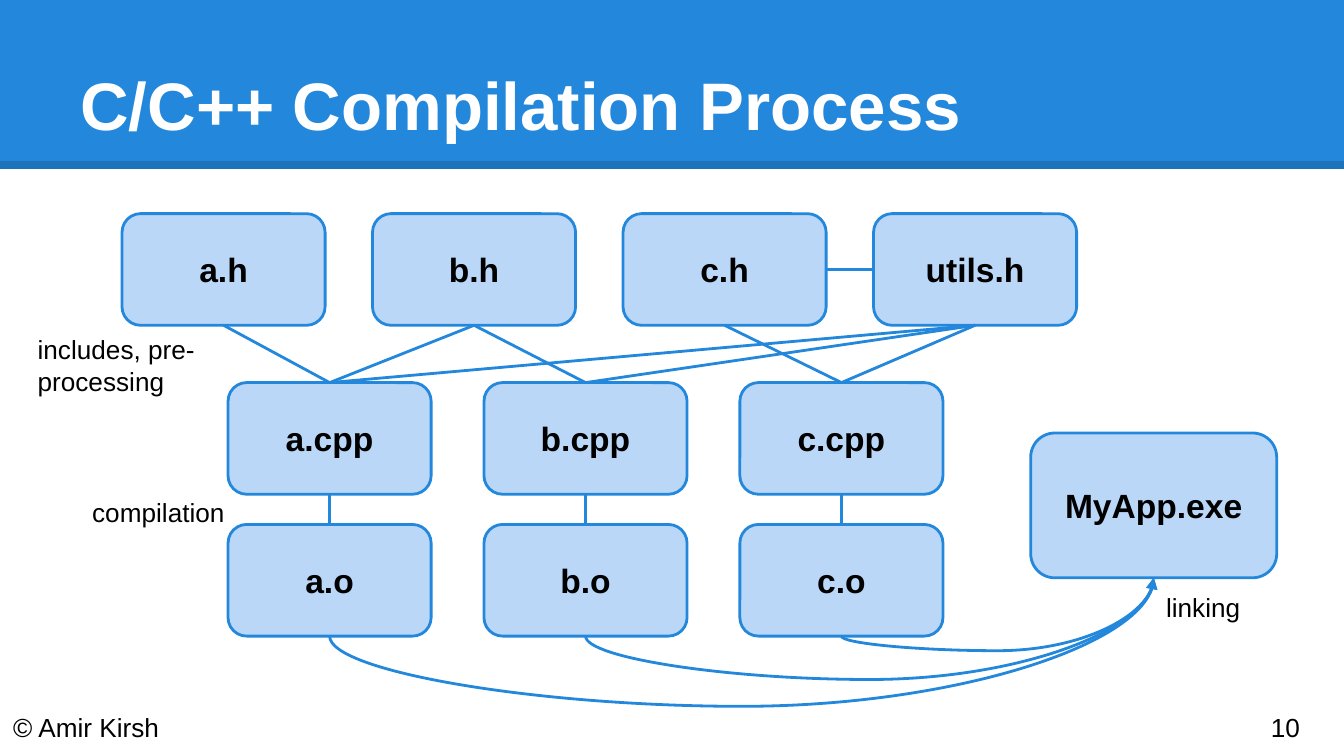
from lxml import etree
from pptx import Presentation
from pptx.dml.color import RGBColor
from pptx.enum.shapes import MSO_CONNECTOR, MSO_SHAPE
from pptx.enum.text import MSO_ANCHOR, PP_ALIGN
from pptx.oxml.ns import qn
from pptx.util import Pt

STRAIGHT, CURVE = MSO_CONNECTOR.STRAIGHT, MSO_CONNECTOR.CURVE
RECT, ROUNDED = MSO_SHAPE.RECTANGLE, MSO_SHAPE.ROUNDED_RECTANGLE
TOP, MIDDLE, BOTTOM = MSO_ANCHOR.TOP, MSO_ANCHOR.MIDDLE, MSO_ANCHOR.BOTTOM
LEFT, CENTER = PP_ALIGN.LEFT, PP_ALIGN.CENTER

BLUE = RGBColor(0x23, 0x88, 0xDB)
PALE = RGBColor(0xBB, 0xD7, 0xF8)
BLACK = RGBColor(0, 0, 0)
WHITE = RGBColor(255, 255, 255)

# Connection sites of a rectangle
SITE_TOP, SITE_LEFT, SITE_BOTTOM, SITE_RIGHT = range(4)


class Diagram:
    font = "Arial"
    inset = 7.2
    stroke = 1.5

    def __init__(self, slide):
        self.shapes = slide.shapes

    def set_text(self, sp, text, size, color=BLACK, bold=False, align=LEFT, anchor=TOP):
        tf = sp.text_frame
        tf.word_wrap = True
        tf.vertical_anchor = anchor
        tf.margin_left = tf.margin_right = Pt(self.inset)
        tf.margin_top = tf.margin_bottom = Pt(self.inset)
        p = tf.paragraphs[0]
        p.text = text
        p.alignment = align
        p.font.name, p.font.size, p.font.bold = self.font, Pt(size), bold
        p.font.color.rgb = color

    def label(self, text, x, y, w, h, size=14, **style):
        sp = self.shapes.add_textbox(Pt(x), Pt(y), Pt(w), Pt(h))
        self.set_text(sp, text, size, **style)

    def band(self, x, y, w, h):
        sp = self.shapes.add_shape(RECT, Pt(x), Pt(y), Pt(w), Pt(h))
        sp.shadow.inherit = False
        sp.fill.solid()
        sp.fill.fore_color.rgb = BLUE
        sp.line.fill.background()

    def box(self, text, x, y, w=108.8, h=59.8):
        sp = self.shapes.add_shape(ROUNDED, Pt(x), Pt(y), Pt(w), Pt(h))
        sp.shadow.inherit = False
        sp.fill.solid()
        sp.fill.fore_color.rgb = PALE
        sp.line.color.rgb = BLUE
        sp.line.width = Pt(self.stroke)
        self.set_text(sp, text, 18, bold=True, align=CENTER, anchor=MIDDLE)
        return sp

    def line(self, x1, y1, x2, y2, kind=STRAIGHT, color=BLUE, width=stroke):
        c = self.shapes.add_connector(kind, Pt(x1), Pt(y1), Pt(x2), Pt(y2))
        c.line.color.rgb = color
        c.line.width = Pt(width)
        etree.SubElement(c._element.spPr, qn("a:effectLst"))
        return c

    def link(self, start, end, start_site=SITE_BOTTOM, end_site=SITE_TOP):
        c = self.line(0, 0, 0, 0)
        c.begin_connect(start, start_site)
        c.end_connect(end, end_site)

    def arc(self, start, end, sag):
        """Arrow between bottom edges, dipping by sag below the start."""
        x1, y1 = (start.left + start.width / 2) / Pt(1), (start.top + start.height) / Pt(1)
        x2, y2 = (end.left + end.width / 2) / Pt(1), (end.top + end.height) / Pt(1)
        cx, cy = (x1 + x2) / 2, (y1 + y2) / 2
        w, h = y1 - y2, x2 - x1  # size before the quarter turn
        c = self.line(cx - w / 2, cy - h / 2, cx + w / 2, cy + h / 2, CURVE)
        c.rotation = 270
        spPr = c._element.spPr
        guides = spPr.find(qn("a:prstGeom")).find(qn("a:avLst"))
        etree.SubElement(guides, qn("a:gd"), name="adj1",
                         fmla=f"val {round(-sag / w * 100000)}")
        etree.SubElement(spPr.find(qn("a:ln")), qn("a:tailEnd"), type="triangle")


prs = Presentation()
prs.slide_width, prs.slide_height = Pt(720), Pt(405)
d = Diagram(prs.slides.add_slide(prs.slide_layouts[6]))

# Title band with a darker lower edge
d.band(0, 0, 720, 90.5)
edge = d.line(0, 88.4, 720, 88.4, color=BLACK, width=4.5)
rgb = edge._element.spPr.find(".//" + qn("a:srgbClr"))
etree.SubElement(rgb, qn("a:alpha"), val="15000")
d.label("C/C++ Compilation Process", 36, 16.7, 648, 67.6, size=36,
        color=WHITE, bold=True, anchor=BOTTOM)

# Footer
d.label("10", 673.8, 373.8, 43.2, 31, anchor=MIDDLE)
d.label("© Amir Kirsh", 0, 373.8, 147.6, 31, anchor=MIDDLE)

# Files: headers, sources, objects and the program
headers = [d.box(name, 65.4 + 134.2 * i, 114.5)
           for i, name in enumerate(("a.h", "b.h", "c.h", "utils.h"))]
sources = [d.box(f"{unit}.cpp", 122.2 + 137.1 * i, 205) for i, unit in enumerate("abc")]
objects = [d.box(f"{unit}.o", 122.2 + 137.1 * i, 281) for i, unit in enumerate("abc")]
program = d.box("MyApp.exe", 552.2, 232, 131.8, 77.6)

# Includes
a_h, b_h, c_h, utils_h = headers
for header, source in zip(headers, sources):
    d.link(header, source)
for source in sources:
    d.link(utils_h, source)
d.link(b_h, sources[0])
d.link(c_h, utils_h, SITE_RIGHT, SITE_LEFT)

# Compilation
for source, obj in zip(sources, objects):
    d.link(source, obj)

# Linking
for obj, sag in zip(objects, (37.6, 23.2, 7.8)):
    d.arc(obj, program, sag)

# Step names
d.label("includes, pre-processing", 13.1, 171.6, 122.4, 41)
d.label("compilation", 42.3, 258.7, 95, 31)
d.label("linking", 617.6, 309.6, 95, 31)

prs.save("out.pptx")
